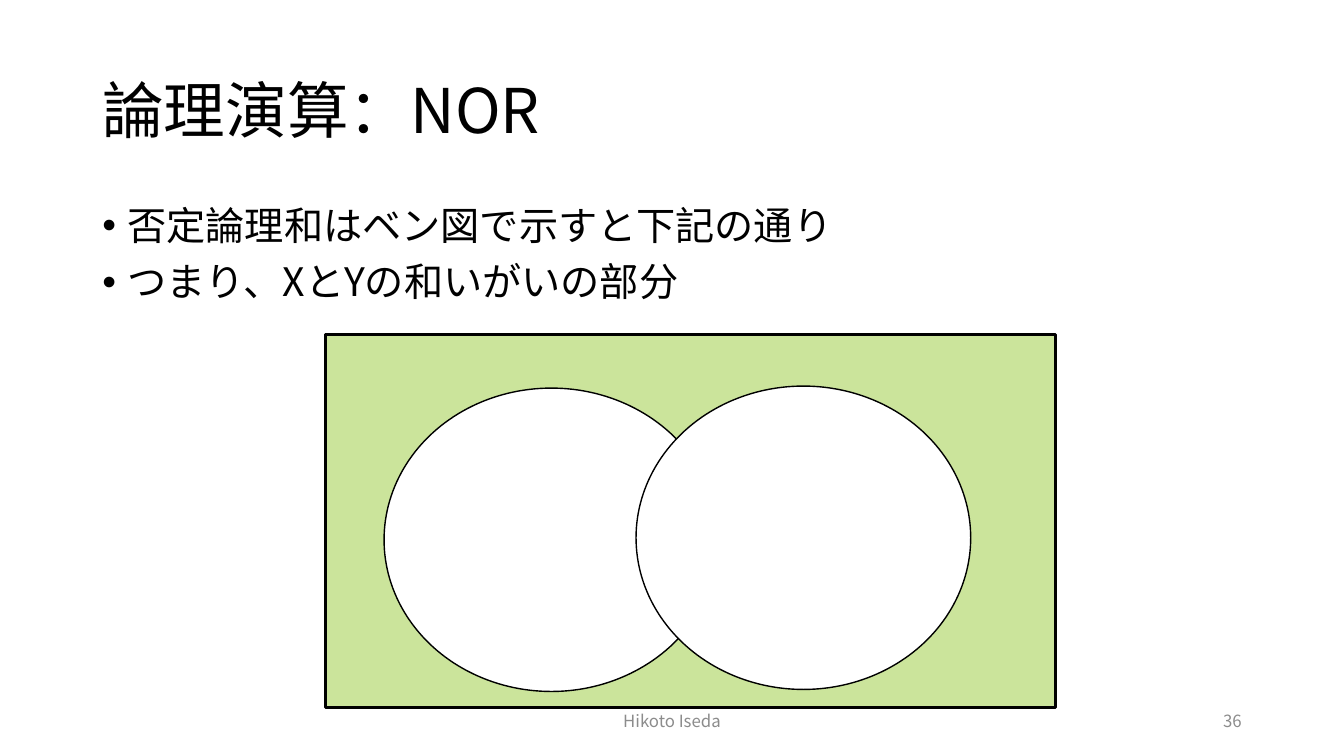
"""Build a slide that shows the NOR operation as a Venn diagram."""
from dataclasses import dataclass

import pptx
import pptx.dml.color
import pptx.enum.shapes
import pptx.enum.text
import pptx.oxml
import pptx.oxml.ns
import pptx.util

COLUMNS, ROWS = 160, 90
SLIDE_WIDTH = pptx.util.Inches(13.33)
SLIDE_HEIGHT = pptx.util.Inches(7.5)
MARGIN, CONTENT_WIDTH = 11, 138
FOOTER_TOP, FOOTER_HEIGHT = 83.4, 4.8
CIRCLE_WIDTH, CIRCLE_HEIGHT = 39.84, 36.12

ALIGN = pptx.enum.text.PP_ALIGN
ANCHOR = pptx.enum.text.MSO_ANCHOR
SHAPE = pptx.enum.shapes.MSO_SHAPE


@dataclass(frozen=True)
class Theme:
    """Fonts, type sizes and colours of the slide."""
    font: str = "Noto Sans CJK JP"
    title_size: int = 44
    body_size: int = 28
    footer_size: int = 12
    ink: str = "000000"
    muted: str = "8C8C8C"
    paper: str = "FFFFFF"
    outside: str = "99CB38"


THEME = Theme()


def colour(value):
    """Turn a hex string into a colour."""
    return pptx.dml.color.RGBColor.from_string(value)


def place(left, top, width, height):
    """Convert grid columns and rows into slide lengths."""
    return (int(left * SLIDE_WIDTH / COLUMNS), int(top * SLIDE_HEIGHT / ROWS),
            int(width * SLIDE_WIDTH / COLUMNS), int(height * SLIDE_HEIGHT / ROWS))


def add_child(parent, tag, **attributes):
    """Append a drawing element with the given attributes."""
    child = pptx.oxml.parse_xml(f"<{tag} {pptx.oxml.ns.nsdecls('a')}/>")
    for name, value in attributes.items():
        child.set(name, value)
    parent.append(child)


def add_run(paragraph, text, size, ink):
    """Add one styled run, with the font set for Latin and Japanese."""
    run = paragraph.add_run()
    run.text = text
    run.font.size = pptx.util.Pt(size)
    run.font.color.rgb = colour(ink)
    run.font.name = THEME.font
    add_child(run.font._element, "a:ea", typeface=THEME.font)


def add_bullet(paragraph):
    """Give a paragraph a hanging bullet."""
    properties = paragraph._p.get_or_add_pPr()
    indent = pptx.util.Inches(0.25)
    properties.set("marL", str(indent))
    properties.set("indent", str(-indent))
    add_child(properties, "a:buFont", typeface="Arial")
    add_child(properties, "a:buChar", char="•")


def add_text(slide, area, lines, size, ink=THEME.ink, align=ALIGN.LEFT,
             anchor=ANCHOR.MIDDLE, spacing=1.0, bullets=False):
    """Add a wrapped text box with one paragraph per line."""
    frame = slide.shapes.add_textbox(*place(*area)).text_frame
    frame.word_wrap = True
    frame.vertical_anchor = anchor
    for index, line in enumerate(lines):
        paragraph = frame.add_paragraph() if index else frame.paragraphs[0]
        if bullets:
            add_bullet(paragraph)
        paragraph.alignment = align
        paragraph.line_spacing = spacing
        if index:
            paragraph.space_before = pptx.util.Pt(10)
        add_run(paragraph, line, size, ink)


def add_region(slide, kind, area, fill, line_width, opacity=100):
    """Add an outlined region of the Venn diagram."""
    shape = slide.shapes.add_shape(kind, *place(*area))
    shape.shadow.inherit = False
    shape.fill.solid()
    shape.fill.fore_color.rgb = colour(fill)
    if opacity < 100:
        fill_colour = shape._element.spPr.find(".//" + pptx.oxml.ns.qn("a:srgbClr"))
        add_child(fill_colour, "a:alpha", val=str(opacity * 1000))
    shape.line.color.rgb = colour(THEME.ink)
    shape.line.width = pptx.util.Pt(line_width)


def main():
    """Build and save the slide."""
    presentation = pptx.Presentation()
    presentation.slide_width = SLIDE_WIDTH
    presentation.slide_height = SLIDE_HEIGHT
    slide = presentation.slides.add_slide(presentation.slide_layouts[6])

    add_text(slide, (MARGIN, 4.8, CONTENT_WIDTH, 17.4), ["論理演算：NOR"],
             THEME.title_size, spacing=0.9)
    add_text(slide, (MARGIN, 24, CONTENT_WIDTH, 57.1),
             ["否定論理和はベン図で示すと下記の通り", "つまり、XとYの和いがいの部分"],
             THEME.body_size, anchor=ANCHOR.TOP, spacing=0.9, bullets=True)
    for left, width, text, align in ((53, 54, "Hikoto Iseda", ALIGN.CENTER),
                                     (113, 36, "36", ALIGN.RIGHT)):
        add_text(slide, (left, FOOTER_TOP, width, FOOTER_HEIGHT), [text],
                 THEME.footer_size, THEME.muted, align)

    add_region(slide, SHAPE.RECTANGLE, (38.76, 39.84, 86.88, 44.4),
               THEME.outside, 2.25, opacity=50)
    for left, top in ((45.72, 46.2), (75.72, 45.96)):
        add_region(slide, SHAPE.OVAL, (left, top, CIRCLE_WIDTH, CIRCLE_HEIGHT),
                   THEME.paper, 1)

    presentation.save("out.pptx")


if __name__ == "__main__":
    main()
